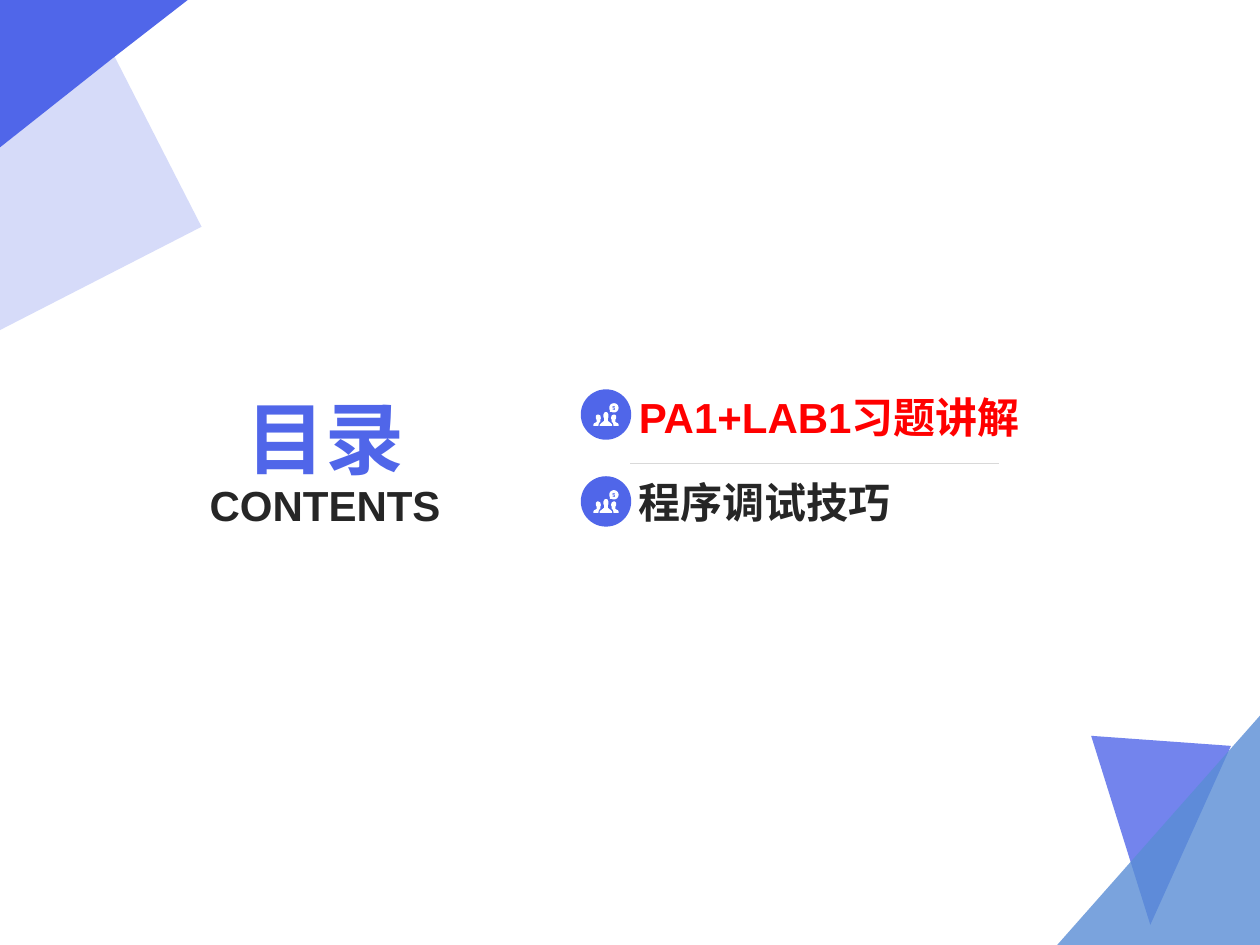
"""Build the contents slide with two topics and corner shapes."""
from math import cos, pi, sin

from lxml import etree
from pptx import Presentation
from pptx.dml.color import RGBColor
from pptx.enum.shapes import MSO_CONNECTOR, MSO_SHAPE
from pptx.enum.text import MSO_ANCHOR, PP_ALIGN
from pptx.oxml.ns import qn
from pptx.util import Inches, Pt

LINE, OVAL = MSO_CONNECTOR.STRAIGHT, MSO_SHAPE.OVAL
TOP, MID, LOW = MSO_ANCHOR.TOP, MSO_ANCHOR.MIDDLE, MSO_ANCHOR.BOTTOM
LEFT, CENTER = PP_ALIGN.LEFT, PP_ALIGN.CENTER
HEX = {"blue": "5066E9", "sky": "598DD5", "pale": "96A3F2", "dark": "262626",
       "red": "FF0000", "white": "FFFFFF", "grey": "D9D9D9"}
COLOR = {name: RGBColor.from_string(code) for name, code in HEX.items()}

deck = Presentation()
deck.slide_width, deck.slide_height = Inches(10), Inches(7.5)
slide = deck.slides.add_slide(deck.slide_layouts[6])
shapes = slide.shapes


def add_outline(rings, color, alpha=100):
    rings = [[(Inches(x), Inches(y)) for x, y in ring] for ring in rings]
    pen = shapes.build_freeform(*rings[0][0])
    pen.add_line_segments(rings[0][1:])
    for ring in rings[1:]:
        pen.move_to(*ring[0])
        pen.add_line_segments(ring[1:])
    shape = pen.convert_to_shape()
    shape.shadow.inherit = False
    shape.line.fill.background()
    shape.fill.solid()
    shape.fill.fore_color.rgb = COLOR[color]
    if alpha < 100:
        tint = shape.fill._xPr.find(qn("a:solidFill"))[0]
        etree.SubElement(tint, qn("a:alpha"), val=str(alpha * 1000))


def add_label(text, box, size, color, anchor, align, top=0.04, low=0, space=None):
    frame = shapes.add_textbox(*map(Inches, box)).text_frame
    frame.word_wrap = True
    frame.vertical_anchor = anchor
    frame.margin_left = frame.margin_right = Inches(0.07)
    frame.margin_top, frame.margin_bottom = Inches(top), Inches(low)
    para = frame.paragraphs[0]
    para.text, para.alignment = text, align
    if space:
        para.line_spacing = space
    font = para.font
    font.name, font.size, font.bold = "Arial", Pt(size), True
    font.color.rgb = COLOR[color]


corners = [
    ([(9.77, 5.92), (9.13, 7.34), (8.66, 5.84)], "blue", 80),
    ([(10, 7.5), (8.39, 7.5), (10, 5.68)], "sky", 80),
    ([(0, 2.62), (1.6, 1.8), (0.91, 0.45), (0, 1.17)], "pale", 39),
    ([(0, 0), (0, 1.17), (0.91, 0.45), (1.49, 0)], "blue", 100),
]
for ring, color, alpha in corners:
    add_outline([ring], color, alpha)

add_label("目录", (1.57, 2.9, 2.02, 0.94), 45, "blue", LOW, CENTER)
add_label("CONTENTS", (1.57, 3.88, 2.02, 0.41), 24, "dark", TOP, CENTER,
          top=0, low=0.04, space=0.8)

half = [(-5, 9), (-5, 8), (-4, 7), (-1.5, 5), (-1.5, 3), (-2, 2), (-2, 0),
        (-1.2, -1.6), (0, -2)]
leader = half + [(-x, y) for x, y in half[-2::-1]]
right = [(6, 9), (10, 9), (10, 8), (9.5, 7), (7.5, 6), (7.5, 4), (8, 3), (8, 1),
         (7, 0), (6, 0), (4.5, 0.8), (4, 3), (4.5, 4), (4.5, 5.5), (5.7, 7)]
left = [(-x, y) for x, y in right]
bubble = [(6.3 + 3.7 * cos(k * pi / 12), -5.3 + 3.7 * sin(k * pi / 12))
          for k in range(24)]
bubble[9] = (3, -2)
dollar = [(7.3, -6.9), (5.3, -6.9), (5.3, -4.9), (6.7, -4.9), (6.7, -4.2),
          (5.3, -4.2), (5.3, -3.7), (7.3, -3.7), (7.3, -5.5), (5.9, -5.5),
          (5.9, -6.3), (7.3, -6.3)]
icon = [leader, left, right, bubble, dollar]

topics = [("PA1+LAB1习题讲解", "red", (5, 3.02, 3.31, 0.53)),
          ("程序调试技巧", "dark", (5, 3.71, 2.93, 0.51))]
for row, (text, color, box) in enumerate(topics):
    mid = 3.29 + 0.69 * row
    disc = shapes.add_shape(OVAL, Inches(4.61), Inches(mid - 0.2),
                            Inches(0.4), Inches(0.4))
    disc.shadow.inherit = False
    disc.fill.solid()
    disc.fill.fore_color.rgb = COLOR["blue"]
    disc.line.fill.background()
    add_outline([[(4.81 + x / 100, mid + y / 100) for x, y in ring]
                 for ring in icon], "white")
    add_label(text, box, 24, color, MID, LEFT)

rule = shapes.add_connector(LINE, Inches(5), Inches(3.68), Inches(7.93), Inches(3.68))
rule.line.color.rgb = COLOR["grey"]
rule.line.width = Pt(0.25)
etree.SubElement(rule._element.spPr, qn("a:effectLst"))

deck.save("out.pptx")
